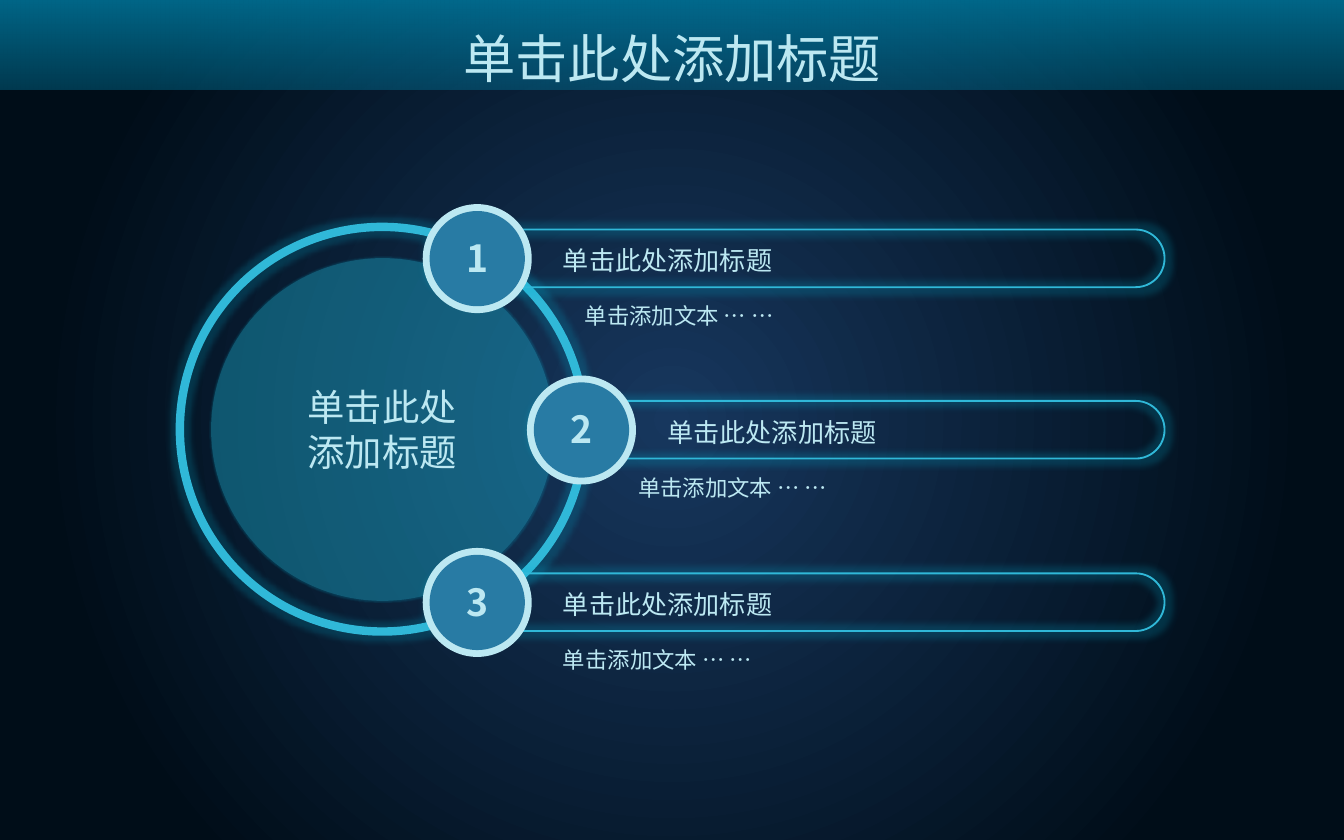
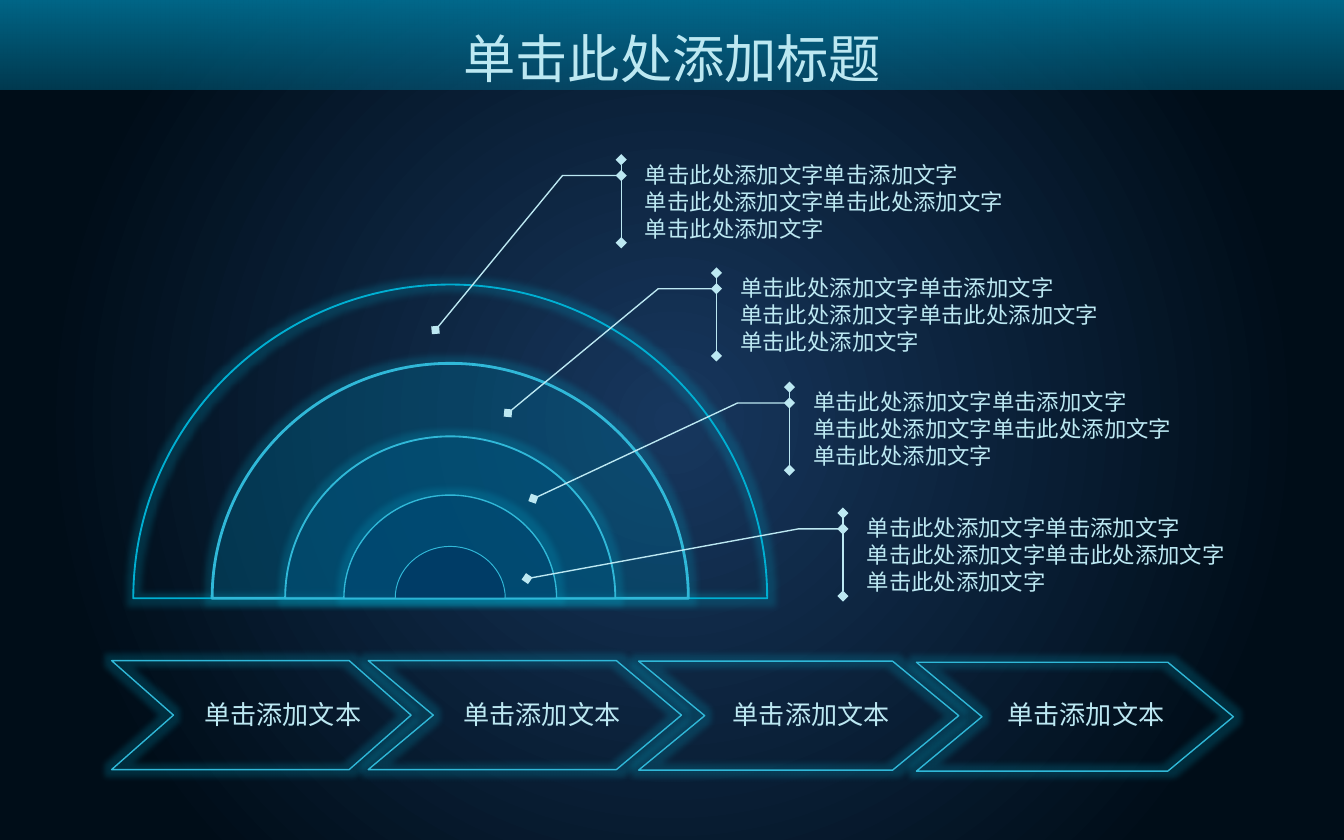
from dataclasses import dataclass
from typing import Any

from lxml import etree
from pptx import Presentation
from pptx.dml.color import RGBColor
from pptx.enum.shapes import MSO_SHAPE
from pptx.enum.text import MSO_ANCHOR, MSO_AUTO_SIZE, PP_ALIGN
from pptx.oxml.ns import qn
from pptx.util import Cm, Pt

OVAL = MSO_SHAPE.OVAL
PILL = MSO_SHAPE.ROUNDED_RECTANGLE
CHEVRON = MSO_SHAPE.CHEVRON
BAND = MSO_SHAPE.ROUND_2_SAME_RECTANGLE
CALLOUT = MSO_SHAPE.LINE_CALLOUT_2_ACCENT_BAR
MIDDLE = MSO_ANCHOR.MIDDLE
GROW = MSO_AUTO_SIZE.SHAPE_TO_FIT_TEXT
LEFT = PP_ALIGN.LEFT
CENTER = PP_ALIGN.CENTER

NAVY = RGBColor(0x17, 0x37, 0x5E)
NIGHT = RGBColor(0x00, 0x0D, 0x18)
TEAL = RGBColor(0x00, 0x7D, 0xA4)
CYAN = RGBColor(0x30, 0xB8, 0xD8)
BRIGHT = RGBColor(0x00, 0xAF, 0xD2)
SKY = RGBColor(0x4E, 0xC3, 0xDE)
ICE = RGBColor(0xBC, 0xE8, 0xF2)
BLUE = RGBColor(0x04, 0x60, 0x91)
DEEP = RGBColor(0x00, 0x3C, 0x66)

FONT = "Noto Sans CJK SC"
SLIDE_WIDTH = 25.4
SLIDE_HEIGHT = 15.88
HEADING = "单击此处添加标题"
CALLOUT_LINES = ["单击此处添加文字单击添加文字", "单击此处添加文字单击此处添加文字", "单击此处添加文字"]

TITLE_TEXT = {"size": Pt(28)}
LARGE_TEXT = {"size": Pt(20)}
NUMBER_TEXT = {"size": Pt(20), "bold": True}
HEADING_TEXT = {"size": Pt(14)}
NOTE_TEXT = {"size": Pt(12)}


@dataclass
class Stop:
    position: int
    color: RGBColor
    opacity: int = 100


@dataclass
class Style:
    fill: RGBColor | None = None
    opacity: int = 100
    line: RGBColor | None = None
    width: float = 0
    glow: float = 0


@dataclass
class Item:
    number: str
    left: float
    top: float
    note_left: float
    note_width: float


@dataclass
class Step:
    left: float
    top: float
    width: float
    depth: float
    label_left: float


@dataclass
class Dome:
    radius: float
    style: Style


@dataclass
class Callout:
    left: float
    top: float
    width: float
    elbow: float
    tip_x: float
    tip_y: float


PILL_STYLE = Style(line=CYAN, width=1, glow=6.5)
STEP_STYLE = Style(line=CYAN, width=0.75, glow=6.5)
CALLOUT_STYLE = Style(line=ICE, width=0.75)
GLOW_OPACITY = 20
PILL_RIGHT = 22.01
STEP_HEIGHT = 2.06
CALLOUT_HEIGHT = 1.57
CALLOUT_BEND = 0.3
CALLOUT_BAR = 0.2
DOME_CENTER = 8.51
DOME_BASE = 11.31
DOME_FLATTENING = 0.06
CURVE = 0.55

ITEMS = [
    Item("1", 7.99, 3.86, 10.8, 11.2),
    Item("2", 9.96, 7.1, 11.81, 10.19),
    Item("3", 7.99, 10.36, 10.39, 11.2),
]
STEPS = [
    Step(2.11, 12.49, 5.66, 1.17, 3.61),
    Step(6.96, 12.49, 5.92, 1.23, 8.51),
    Step(12.07, 12.5, 6.05, 1.25, 13.6),
    Step(17.32, 12.52, 5.99, 1.24, 18.79),
]
DOMES = [
    Dome(5.99, Style(line=BRIGHT, width=1, glow=6.5)),
    Dome(4.5, Style(DEEP, 20, CYAN, 1.5, 6.5)),
    Dome(3.12, Style(DEEP, 40, CYAN, 1, 6.5)),
    Dome(2.01, Style(DEEP, 60, CYAN, 0.75, 6.5)),
    Dome(1.04, Style(DEEP, line=CYAN, width=0.5)),
]
CALLOUTS = [
    Callout(11.94, 3.02, 8.76, 1.31, 3.71, 3.22),
    Callout(16.13, 9.7, 8.59, 1.04, 6.17, 1.24),
    Callout(15.12, 7.32, 8.84, 1.18, 5.04, 2.11),
    Callout(13.74, 5.16, 8.81, 1.3, 4.14, 2.65),
]


def add_color(parent: Any, color: RGBColor, opacity: int) -> None:
    node = etree.SubElement(parent, qn("a:srgbClr"), val=str(color))
    if opacity < 100:
        etree.SubElement(node, qn("a:alpha"), val=str(opacity * 1000))


def swap_gradient(owner: Any, stops: list[Stop], angle: int | None) -> None:
    solid = owner.xpath(".//a:solidFill")[0]
    gradient = etree.Element(qn("a:gradFill"), rotWithShape="1")
    stop_list = etree.SubElement(gradient, qn("a:gsLst"))
    for stop in stops:
        node = etree.SubElement(stop_list, qn("a:gs"), pos=str(stop.position * 1000))
        add_color(node, stop.color, stop.opacity)
    if angle is None:
        circle = etree.SubElement(gradient, qn("a:path"), {"path": "circle"})
        etree.SubElement(circle, qn("a:fillToRect"), dict.fromkeys("ltrb", "50000"))
    else:
        etree.SubElement(gradient, qn("a:lin"), ang=str(angle * 60000), scaled="0")
    solid.getparent().replace(solid, gradient)


def apply_style(shape: Any, style: Style) -> None:
    shape.shadow.inherit = False
    properties = shape.element.spPr
    if style.fill is None:
        shape.fill.background()
    else:
        shape.fill.solid()
        shape.fill.fore_color.rgb = style.fill
        if style.opacity < 100:
            color = properties.find(qn("a:solidFill"))[0]
            etree.SubElement(color, qn("a:alpha"), val=str(style.opacity * 1000))
    if style.line is None:
        shape.line.fill.background()
    else:
        shape.line.color.rgb = style.line
        shape.line.width = Pt(style.width)
    if style.glow:
        effects = properties.find(qn("a:effectLst"))
        glow = etree.SubElement(effects, qn("a:glow"), rad=str(Pt(style.glow)))
        add_color(glow, BRIGHT, GLOW_OPACITY)


def add_figure(page: Any, kind: Any, left: float, top: float, width: float, height: float,
               style: Style, adjustments: tuple[float, ...] = ()) -> Any:
    shape = page.shapes.add_shape(kind, Cm(left), Cm(top), Cm(width), Cm(height))
    for index, value in enumerate(adjustments):
        shape.adjustments[index] = value
    apply_style(shape, style)
    return shape


def write_lines(frame: Any, lines: list[str], text_format: dict[str, Any], align: Any) -> None:
    for index, line in enumerate(lines):
        para = frame.add_paragraph() if index else frame.paragraphs[0]
        para.alignment = align
        span = para.add_run()
        span.text = line
        for name, value in {"name": FONT, **text_format}.items():
            setattr(span.font, name, value)
        span.font.color.rgb = ICE
    for latin in frame._txBody.xpath(".//a:latin"):
        latin.addnext(etree.Element(qn("a:ea"), typeface=FONT))


def add_text(page: Any, left: float, top: float, width: float, height: float, text: str,
             text_format: dict[str, Any], align: Any = LEFT, wrap: bool = True) -> Any:
    box = page.shapes.add_textbox(Cm(left), Cm(top), Cm(width), Cm(height))
    box.text_frame.word_wrap = wrap
    box.text_frame.auto_size = GROW
    write_lines(box.text_frame, [text], text_format, align)
    return box


def add_page(deck: Any) -> Any:
    page = deck.slides.add_slide(deck.slide_layouts[6])
    page.background.fill.solid()
    page.background.fill.fore_color.rgb = NIGHT
    swap_gradient(page.element, [Stop(0, NAVY), Stop(80, NIGHT)], None)
    band = add_figure(page, BAND, 0, 0, SLIDE_WIDTH, 1.7, Style(TEAL), (0, 0))
    swap_gradient(band.element, [Stop(0, TEAL, 80), Stop(100, TEAL, 39)], 90)
    return page


def add_title(page: Any) -> None:
    title = add_text(page, 7.32, 0.13, 10.77, 1.7, HEADING, TITLE_TEXT, CENTER)
    para = title.text_frame.paragraphs[0]
    para.line_spacing = 1.2
    para.space_before = Pt(14)
    shine = [Stop(0, SKY), Stop(40, ICE), Stop(60, ICE), Stop(100, SKY)]
    swap_gradient(title.element, shine, 0)


def add_item_pill(page: Any, item: Item) -> None:
    left = item.left + 0.13
    top = item.top + 0.48
    add_figure(page, PILL, left, top, PILL_RIGHT - left, 1.09, PILL_STYLE, (0.5,))
    add_text(page, left + 2.27, top + 0.16, 5.31, 0.86, HEADING, HEADING_TEXT)
    add_text(page, item.note_left, top + 1.25, item.note_width, 0.76, "单击添加文本 … …", NOTE_TEXT)


def add_item_badge(page: Any, item: Item) -> None:
    add_figure(page, OVAL, item.left, item.top, 2.06, 2.06, Style(ICE))
    add_figure(page, OVAL, item.left + 0.13, item.top + 0.13, 1.8, 1.8, Style(BLUE, 80))
    add_text(page, item.left - 0.01, item.top + 0.46, 2.08, 1.12, item.number, NUMBER_TEXT, CENTER)


def add_step(page: Any, step: Step) -> None:
    add_figure(page, CHEVRON, step.left, step.top, step.width, STEP_HEIGHT, STEP_STYLE,
               (step.depth / STEP_HEIGHT,))
    add_text(page, step.label_left, 13.08, 3.51, 0.86, "单击添加文本", HEADING_TEXT, wrap=False)


def bend_segment(segment: Any, points: list[tuple[float, float]]) -> None:
    curve = etree.Element(qn("a:cubicBezTo"))
    for x, y in points:
        etree.SubElement(curve, qn("a:pt"), x=str(round(x)), y=str(round(y)))
    segment.getparent().replace(segment, curve)


def add_dome(page: Any, dome: Dome) -> None:
    peak = (Cm(DOME_CENTER), Cm(DOME_BASE - dome.radius + DOME_FLATTENING))
    right = (Cm(DOME_CENTER + dome.radius), Cm(DOME_BASE))
    left = (Cm(DOME_CENTER - dome.radius), Cm(DOME_BASE))
    builder = page.shapes.build_freeform(*peak)
    builder.add_line_segments([right, left, peak], close=True)
    shape = builder.convert_to_shape()
    width, height = shape.width, shape.height
    middle, pull, shoulder = width / 2, CURVE * width / 2, height * (1 - CURVE)
    rising, _, falling = shape.element.xpath(".//a:lnTo")
    bend_segment(rising, [(middle + pull, 0), (width, shoulder), (width, height)])
    bend_segment(falling, [(0, shoulder), (middle - pull, 0), (middle, 0)])
    apply_style(shape, dome.style)


def add_callout(page: Any, callout: Callout) -> None:
    bend = CALLOUT_BEND / CALLOUT_HEIGHT
    bar, elbow, tip_x = (-offset / callout.width
                         for offset in (CALLOUT_BAR, callout.elbow, callout.tip_x))
    shape = add_figure(page, CALLOUT, callout.left, callout.top, callout.width, CALLOUT_HEIGHT,
                       CALLOUT_STYLE, (bend, bar, bend, elbow, callout.tip_y / CALLOUT_HEIGHT, tip_x))
    outline = shape.element.spPr.find(qn("a:ln"))
    for end in ("a:headEnd", "a:tailEnd"):
        etree.SubElement(outline, qn(end), type="diamond")
    shape.text_frame.vertical_anchor = MIDDLE
    write_lines(shape.text_frame, CALLOUT_LINES, NOTE_TEXT, LEFT)


def build_circle_page(deck: Any) -> None:
    page = add_page(deck)
    add_figure(page, OVAL, 3.4, 4.29, 7.65, 7.65, Style(line=CYAN, width=4.5, glow=6.5))
    add_figure(page, OVAL, 3.99, 4.88, 6.48, 6.48, Style(CYAN, 25, glow=1))
    add_text(page, 5.32, 7.14, 3.81, 1.96, HEADING, LARGE_TEXT, CENTER)
    add_title(page)
    for item in ITEMS:
        add_item_pill(page, item)
    for item in ITEMS:
        add_item_badge(page, item)


def build_dome_page(deck: Any) -> None:
    page = add_page(deck)
    for step in STEPS:
        add_step(page, step)
    for dome in DOMES:
        add_dome(page, dome)
    for callout in CALLOUTS:
        add_callout(page, callout)
    add_title(page)


def main() -> None:
    deck = Presentation()
    deck.slide_width = Cm(SLIDE_WIDTH)
    deck.slide_height = Cm(SLIDE_HEIGHT)
    build_circle_page(deck)
    build_dome_page(deck)
    deck.save("out.pptx")


if __name__ == "__main__":
    main()
